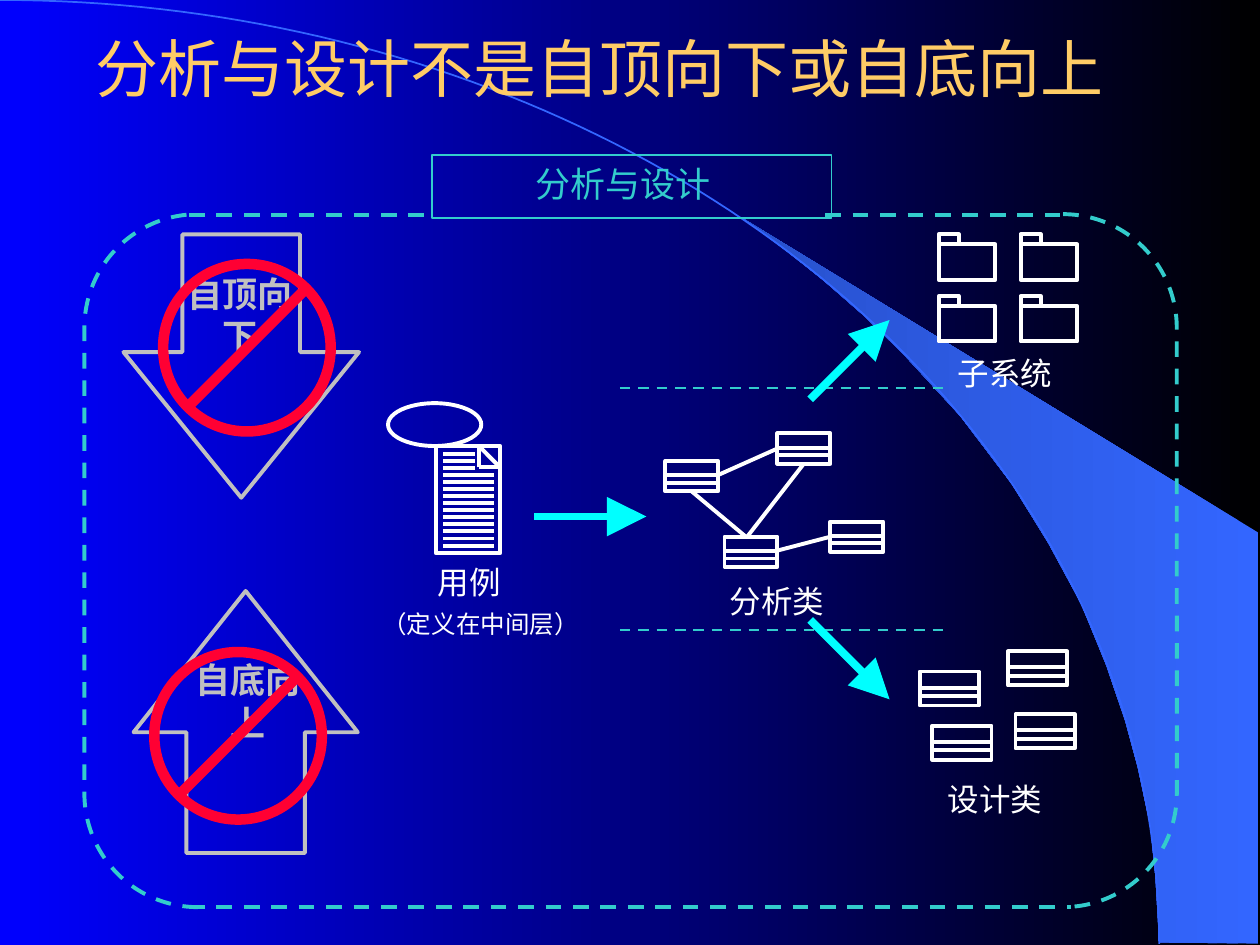
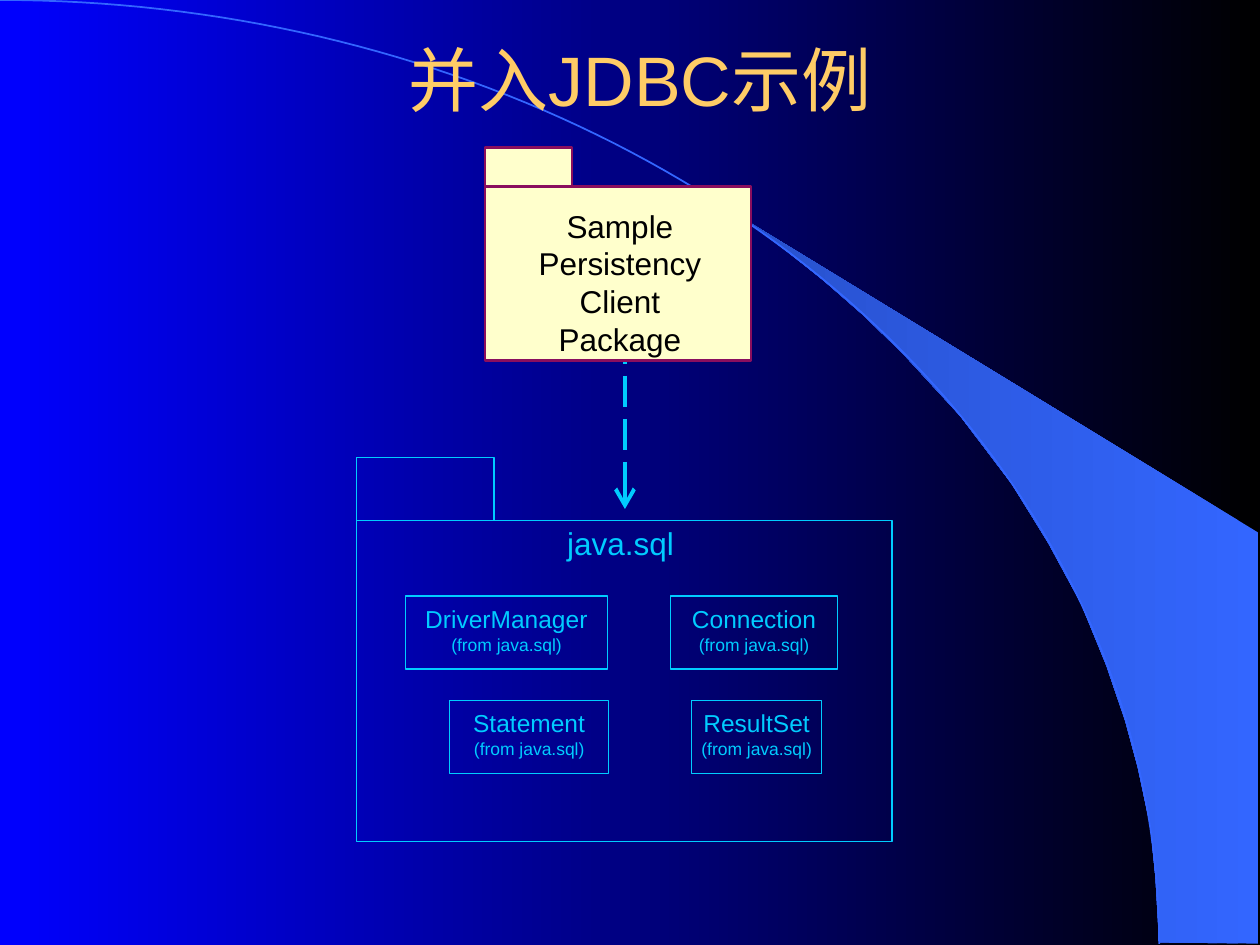
from math import cos, pi, sin

from pptx import Presentation
from pptx.dml.color import RGBColor
from pptx.enum.dml import MSO_LINE
from pptx.enum.shapes import MSO_CONNECTOR, MSO_SHAPE
from pptx.enum.text import MSO_ANCHOR, PP_ALIGN
from pptx.oxml.ns import qn
from pptx.util import Inches, Pt
from lxml.etree import SubElement

WIDTH, HEIGHT = 10, 7.5
FONT = "Arial"
WHITE, BLACK, BLUE, GOLD = "FFFFFF", "000000", "0000FF", "FFCC66"
TEAL, CYAN, SKY = "33CCCC", "00FFFF", "00CCFF"
GREY, RED, CREAM, PLUM = "C0C0C0", "FF0033", "FFFFCC", "8A0E5E"
ARC_BLUE, DEEP_BLUE = "3366FF", "2851CC"

# Shared backdrop
ARC_RADII = (9.2, 7.49)
SWOOSH = [(9.2, 7.48), (9.99, 7.49), (9.99, 4.23), (5.89, 1.73), (6.24, 1.99),
          (6.53, 2.22), (6.85, 2.5), (7.16, 2.8), (7.62, 3.3), (8.03, 3.84),
          (8.32, 4.31), (8.58, 4.79), (8.78, 5.28), (8.93, 5.72), (9.03, 6.09),
          (9.13, 6.56), (9.17, 6.96)]

# Analysis and design: text, box
ANALYSIS_TITLE = ("分析与设计不是自顶向下或自底向上", (0, 0.21, 9.52, 0.65), 36)
LABELS = [("设计类", (7.52, 6.19, 0.75, 0.3)), ("子系统", (7.6, 2.81, 0.75, 0.3)),
          ("用例", (3.08, 4.47, 1.29, 0.3)), ("分析类", (5.79, 4.62, 0.75, 0.3))]
USE_CASE_NOTE = ("（定义在中间层）", (2.87, 4.77, 1.89, 0.35))
FRAME_HEADING = ("分析与设计", (3.03, 1.23, 3.83, 0.45))
# Block arrow, its box and adjustments, text and its box, centre of the ban sign
REJECTED = [
    (MSO_SHAPE.UP_ARROW, (1.06, 4.69, 1.78, 2.08), (0.528, 0.63),
     "自底向上", (1.38, 5.17, 1.18, 0.79), (1.89, 5.84)),
    (MSO_SHAPE.DOWN_ARROW, (0.98, 1.86, 1.87, 2.09), (0.499, 0.618),
     "自顶向下", (1.3, 2.1, 1.21, 0.79), (1.96, 2.76)),
]
DESIGN_CLASSES = [(7.3, 5.33), (7.4, 5.76), (8, 5.17), (8.06, 5.67)]
ANALYSIS_CLASSES = [(5.28, 3.66), (6.17, 3.44), (5.75, 4.26), (6.59, 4.14)]
ASSOCIATIONS = [((5.92, 4.26), (5.49, 3.9)), ((5.7, 3.77), (6.17, 3.56)),
                ((6.17, 4.37), (6.59, 4.26)), ((5.93, 4.26), (6.38, 3.68))]
FLOWS = [((6.43, 4.92), (7.06, 5.55)), ((6.43, 3.17), (7.06, 2.54)),
         ((4.24, 4.1), (5.13, 4.1))]
FRAME_EDGES = [((1.5, 7.2), (8.5, 7.2)), ((1.5, 1.71), (3.37, 1.71)),
               ((6.55, 1.71), (8.5, 1.71))]

# JDBC example
JDBC_TITLE = ("并入JDBC示例", (0.83, 0.36, 8.5, 0.52), 40)
CLIENT = ("Sample Persistency Client Package", (3.96, 1.58, 1.92, 1.32))
SQL_CLASSES = [("DriverManager", 3.22, 4.73, 1.6), ("Connection", 5.32, 4.73, 1.33),
               ("Statement", 3.57, 5.56, 1.26), ("ResultSet", 5.49, 5.56, 1.03)]
SQL_ORIGIN = "(from java.sql)"


def rgb(value):
    return RGBColor.from_string(value)


def inches(values):
    return [Inches(value) for value in values]


def fade(fill, first, last):
    """Gradient that runs from first at the right to last at the left."""
    fill.gradient()
    fill.gradient_angle = 180
    for stop, color, position in zip(fill.gradient_stops, (first, last), (0, 1)):
        stop.color.rgb = rgb(color)
        stop.position = position


def stroke(line, color, width, dash=None):
    line.color.rgb = rgb(color)
    line.width = Pt(width)
    if dash:
        line.dash_style = dash


def outline(page, kind, box, color=WHITE, width=2.25, fill=None, dash=None, adjust=()):
    shape = page.shapes.add_shape(kind, *inches(box))
    shape.shadow.inherit = False
    if fill:
        shape.fill.solid()
        shape.fill.fore_color.rgb = rgb(fill)
    else:
        shape.fill.background()
    stroke(shape.line, color, width, dash)
    for index, value in enumerate(adjust):
        shape.adjustments[index] = value


def connect(page, start, end, color=WHITE, width=2.25, dash=None, head=None):
    connector = page.shapes.add_connector(MSO_CONNECTOR.STRAIGHT, *inches(start + end))
    stroke(connector.line, color, width, dash)
    properties = connector.element.spPr
    if head:
        SubElement(properties.find(qn("a:ln")), qn("a:tailEnd"),
                   type=head, w="lg", len="lg")
    SubElement(properties, qn("a:effectLst"))


def trace(page, points, closed):
    builder = page.shapes.build_freeform(*inches(points[0]), scale=1.0)
    builder.add_line_segments([inches(point) for point in points[1:]], close=closed)
    shape = builder.convert_to_shape()
    shape.shadow.inherit = False
    return shape


def write(page, text, box, size=18, color=WHITE, bold=False, inset=(0, 0),
          wrap=True, anchor=MSO_ANCHOR.TOP):
    frame = page.shapes.add_textbox(*inches(box)).text_frame
    frame.word_wrap = wrap
    frame.vertical_anchor = anchor
    frame.margin_left = frame.margin_right = Inches(inset[0])
    frame.margin_top = frame.margin_bottom = Inches(inset[1])
    para = frame.paragraphs[0]
    para.alignment = PP_ALIGN.CENTER
    span = para.add_run()
    span.text = text
    span.font.name, span.font.size, span.font.bold = FONT, Pt(size), bold
    span.font.color.rgb = rgb(color)


def add_page(deck, title, box, size):
    page = deck.slides.add_slide(deck.slide_layouts[6])
    fade(page.background.fill, BLACK, BLUE)
    swoosh = trace(page, SWOOSH, True)
    fade(swoosh.fill, ARC_BLUE, DEEP_BLUE)
    swoosh.line.fill.background()
    steps = 90
    across, down = ARC_RADII
    angles = [step * pi / 2 / steps for step in range(steps + 1)]
    arc = trace(page, [(across * sin(a), down * (1 - cos(a))) for a in angles], False)
    arc.fill.background()
    stroke(arc.line, ARC_BLUE, 1)
    write(page, title, box, size, GOLD, inset=(0.1, 0.05), anchor=MSO_ANCHOR.MIDDLE)
    return page


def draw_class(page, left, top, width, height):
    outline(page, MSO_SHAPE.RECTANGLE, (left, top, width, height))
    for share in (0.47, 0.72):
        y = top + share * height
        connect(page, (left, y), (left + width, y))


def draw_folder(page, left, top, size, tab, **look):
    outline(page, MSO_SHAPE.RECTANGLE, (left, top, *size), **look)
    outline(page, MSO_SHAPE.RECTANGLE, (left, top - tab[1], *tab), **look)


def draw_ban(page, x, y):
    radius, reach = 0.665, 0.46
    outline(page, MSO_SHAPE.OVAL, (x - radius, y - radius, 2 * radius, 2 * radius), RED, 6)
    connect(page, (x + reach, y - reach), (x - reach, y + reach), RED, 6)


def draw_use_case(page):
    outline(page, MSO_SHAPE.OVAL, (3.08, 3.2, 0.74, 0.34))
    outline(page, MSO_SHAPE.RECTANGLE, (3.46, 3.54, 0.51, 0.85))
    fold = [(3.8, 3.54), (3.97, 3.71), (3.8, 3.71)]
    for start, end in zip(fold, fold[1:] + fold[:1]):
        connect(page, start, end)
    for row in range(14):
        y = 3.6 + row * 0.73 / 13
        connect(page, (3.52, y), (3.77 if row < 3 else 3.92, y))


def build_analysis(deck):
    page = add_page(deck, *ANALYSIS_TITLE)
    for y in (3.08, 5):
        connect(page, (4.92, y), (7.5, y), TEAL, 1.5, MSO_LINE.DASH)
    for left, top in DESIGN_CLASSES:
        draw_class(page, left, top, 0.47, 0.27)
    for left, top in ANALYSIS_CLASSES:
        draw_class(page, left, top, 0.42, 0.24)
    for start, end in ASSOCIATIONS:
        connect(page, start, end)
    for index in range(4):
        row, column = divmod(index, 2)
        draw_folder(page, 7.45 + column * 0.65, 1.94 + row * 0.49, (0.45, 0.28), (0.16, 0.08))
    draw_use_case(page)
    for text, box in LABELS:
        write(page, text, box, wrap=False)
    for kind, box, adjust, text, text_box, centre in REJECTED:
        outline(page, kind, box, GREY, adjust=adjust)
        write(page, text, text_box, 20, GREY, bold=True, inset=(0.12, 0.06))
        draw_ban(page, *centre)
    write(page, *USE_CASE_NOTE, 14, inset=(0.12, 0.06))
    write(page, *FRAME_HEADING, 20, TEAL, inset=(0.12, 0.06))
    outline(page, MSO_SHAPE.DOUBLE_BRACKET, (0.67, 1.7, 8.67, 5.5), TEAL,
            dash=MSO_LINE.DASH, adjust=(0.164,))
    for start, end in FRAME_EDGES:
        connect(page, start, end, TEAL, dash=MSO_LINE.DASH)
    outline(page, MSO_SHAPE.RECTANGLE, (3.43, 1.23, 3.17, 0.5), TEAL, 1)
    for start, end in FLOWS:
        connect(page, start, end, CYAN, 4.5, head="triangle")


def build_jdbc(deck):
    page = add_page(deck, *JDBC_TITLE)
    draw_folder(page, 2.83, 4.13, (4.25, 2.55), (1.09, 0.5), color=SKY, width=0)
    write(page, "java.sql", (4.5, 4.16, 0.85, 0.3), color=SKY, wrap=False)
    for name, left, top, width in SQL_CLASSES:
        outline(page, MSO_SHAPE.RECTANGLE, (left, top, width, 0.58), SKY, 0)
        write(page, name, (left, top + 0.06, width, 0.23), 14, SKY, wrap=False)
        write(page, SQL_ORIGIN, (left, top + 0.3, width, 0.17), 10, SKY, wrap=False)
    connect(page, (4.96, 2.64), (4.96, 4.04), SKY, dash=MSO_LINE.LONG_DASH, head="arrow")
    draw_folder(page, 3.85, 1.48, (2.11, 1.38), (0.69, 0.31),
                color=PLUM, width=1.5, fill=CREAM)
    write(page, *CLIENT, color=BLACK, inset=(0.12, 0.06))


def main():
    deck = Presentation()
    deck.slide_width, deck.slide_height = inches((WIDTH, HEIGHT))
    build_analysis(deck)
    build_jdbc(deck)
    deck.save("out.pptx")


if __name__ == "__main__":
    main()
